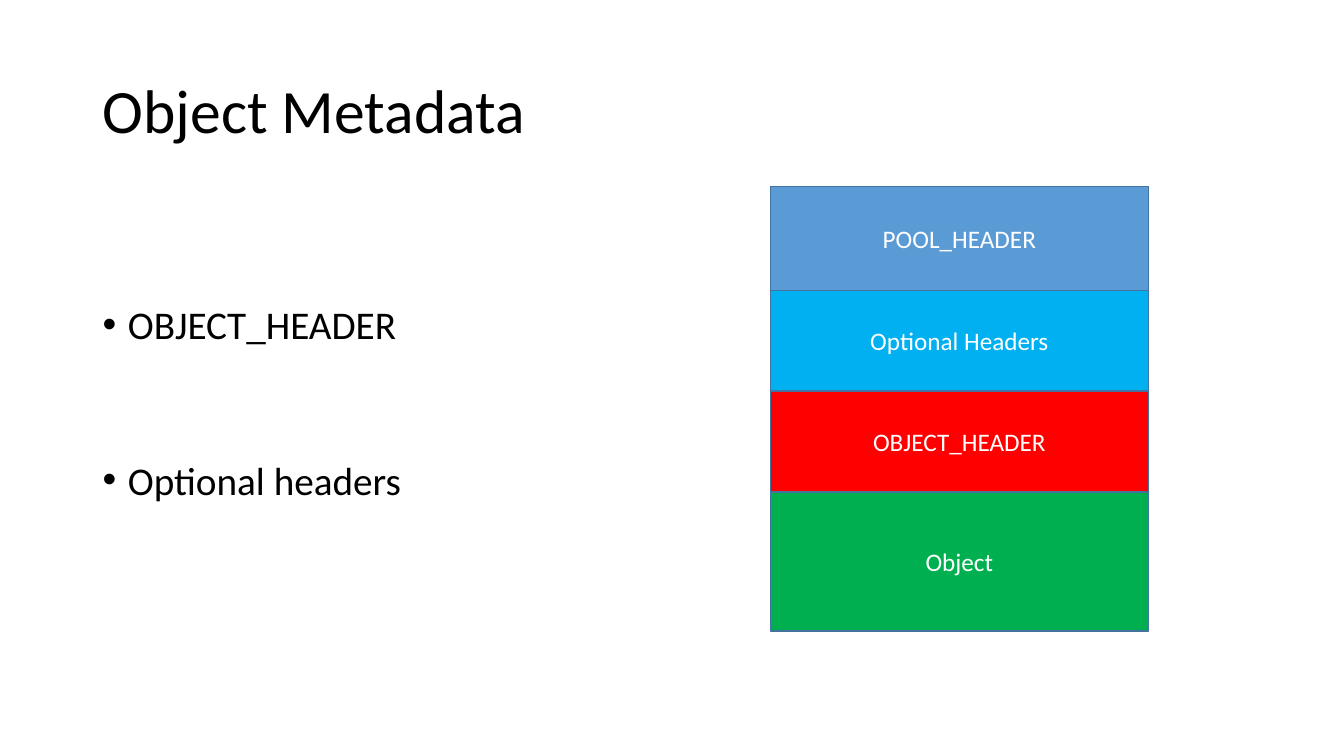
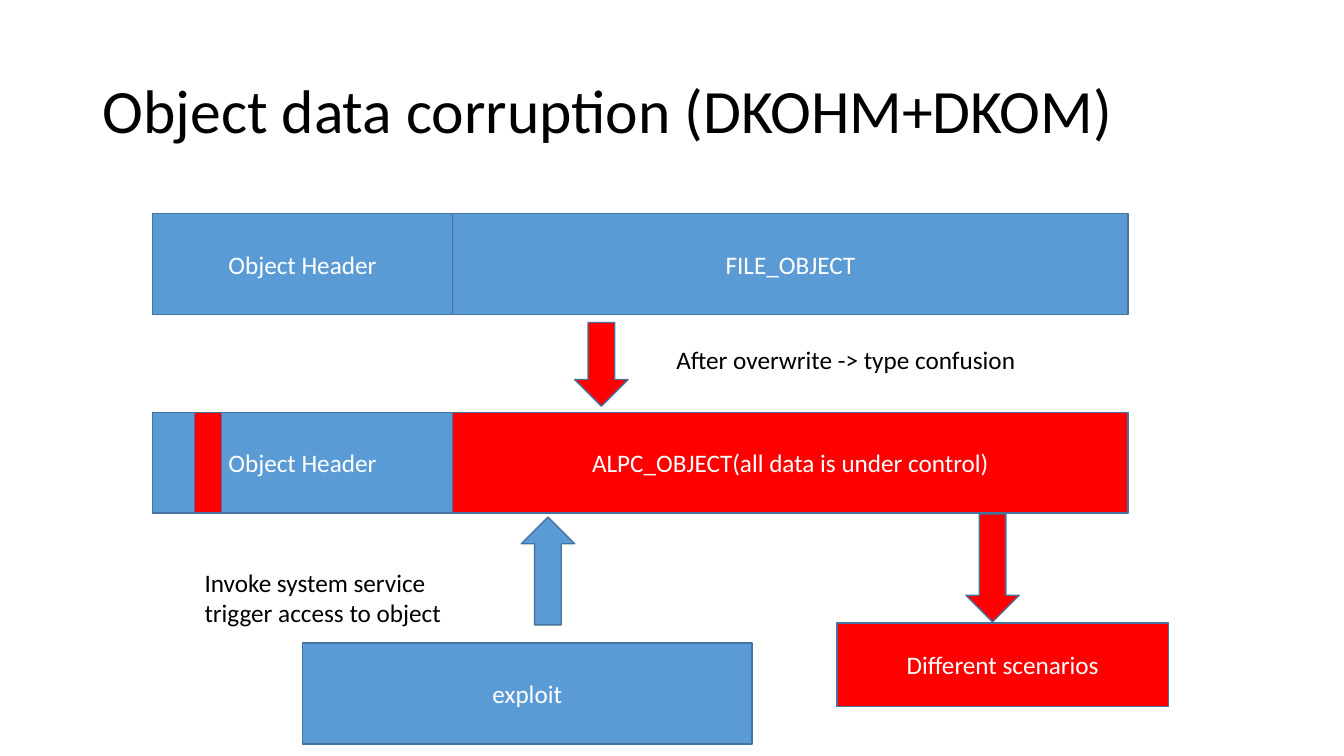
from dataclasses import dataclass
from itertools import accumulate
from lxml.etree import SubElement
from pptx import Presentation
from pptx.dml.color import RGBColor
from pptx.enum.shapes import MSO_SHAPE as Shape
from pptx.enum.text import MSO_ANCHOR as Anchor, PP_ALIGN as Align
from pptx.oxml.ns import qn
from pptx.util import Inches, Pt


@dataclass(frozen=True)
class Theme:
    font: str = "Calibri"
    text: str = "000000"
    inverse: str = "FFFFFF"
    outline: str = "43739E"
    blue: str = "5B9BD5"
    sky: str = "00B0F0"
    red: str = "FF0000"
    green: str = "00B050"
    title_size: int = 44
    body_size: int = 28
    label_size: int = 18


THEME = Theme()
MARGIN, CONTENT_WIDTH = 0.92, 11.5

METADATA_TITLE = "Object Metadata"
METADATA_BULLETS = ["OBJECT_HEADER", "Optional headers"]
STACK_LEFT, STACK_TOP, STACK_WIDTH = 7.64, 1.85, 3.75
STACK = [
    ("POOL_HEADER", 1.03, THEME.blue),
    ("Optional Headers", 1, THEME.sky),
    ("OBJECT_HEADER", 1, THEME.red),
    ("Object", 1.38, THEME.green),
]

CORRUPTION_TITLE = "Object data corruption (DKOHM+DKOM)"
ROW_LEFT, HEADER_WIDTH, OBJECT_WIDTH, ROW_HEIGHT = 1.51, 2.98, 6.7, 1
OBJECT_ROWS = [
    (2.12, "FILE_OBJECT", THEME.blue),
    (4.09, "ALPC_OBJECT(all data is under control)", THEME.red),
]
BOXES = [
    ("", (1.93, 4.09, 0.27, ROW_HEIGHT), THEME.red),
    ("exploit", (3, 6.38, 4.46, ROW_HEIGHT), THEME.blue),
    ("Different scenarios", (8.3, 6.18, 3.29, 0.83), THEME.red),
]
ARROW_WIDTH = 0.53
ARROWS = [
    (Shape.DOWN_ARROW, 5.7, 3.2, 0.83, THEME.red),
    (Shape.UP_ARROW, 5.17, 5.13, 1.07, THEME.blue),
    (Shape.DOWN_ARROW, 9.58, 5.1, 1.07, THEME.red),
]
NOTES = [
    ("After overwrite -> type confusion", (6.61, 3.37, 3.61, 0.4), False),
    ("Invoke system service trigger access to object", (1.93, 5.58, 3.11, 0.71), True),
]


def style_text(frame, size, color):
    for para in frame.paragraphs:
        for span in para.runs:
            span.font.name = THEME.font
            span.font.size = Pt(size)
            span.font.color.rgb = RGBColor.from_string(color)


def add_text(page, text, area, size, wrap=True):
    frame = page.shapes.add_textbox(*map(Inches, area)).text_frame
    frame.word_wrap = wrap
    frame.text = text
    style_text(frame, size, THEME.text)
    return frame


def add_block(page, text, area, fill, kind=Shape.RECTANGLE):
    block = page.shapes.add_shape(kind, *map(Inches, area))
    block.shadow.inherit = False
    block.fill.solid()
    block.fill.fore_color.rgb = RGBColor.from_string(fill)
    block.line.color.rgb = RGBColor.from_string(THEME.outline)
    block.line.width = Pt(1)
    if text:
        frame = block.text_frame
        frame.text = text
        frame.vertical_anchor = Anchor.MIDDLE
        frame.paragraphs[0].alignment = Align.CENTER
        style_text(frame, THEME.label_size, THEME.inverse)


def add_bullets(page, items, area):
    frame = add_text(page, "\n".join(items), area, THEME.body_size)
    for para in frame.paragraphs:
        para.line_spacing = 3.0
        para.space_before = Pt(10)
        props = para._p.get_or_add_pPr()
        props.set("marL", str(Inches(0.25)))
        props.set("indent", str(-Inches(0.25)))
        SubElement(props, qn("a:buFont"), typeface="Arial")
        SubElement(props, qn("a:buChar"), char="•")


def add_page(deck, title):
    page = deck.slides.add_slide(deck.slide_layouts[6])
    frame = add_text(page, title, (MARGIN, 0.4, CONTENT_WIDTH, 1.45), THEME.title_size)
    frame.vertical_anchor = Anchor.MIDDLE
    frame.paragraphs[0].line_spacing = 0.9
    return page


def build_metadata(deck):
    page = add_page(deck, METADATA_TITLE)
    add_bullets(page, METADATA_BULLETS, (MARGIN, 2, CONTENT_WIDTH, 4.76))
    tops = accumulate((height for _, height, _ in STACK), initial=STACK_TOP)
    for top, (label, height, fill) in zip(tops, STACK):
        add_block(page, label, (STACK_LEFT, top, STACK_WIDTH, height), fill)


def build_corruption(deck):
    page = add_page(deck, CORRUPTION_TITLE)
    for top, label, fill in OBJECT_ROWS:
        add_block(page, "Object Header", (ROW_LEFT, top, HEADER_WIDTH, ROW_HEIGHT), THEME.blue)
        add_block(page, label, (ROW_LEFT + HEADER_WIDTH, top, OBJECT_WIDTH, ROW_HEIGHT), fill)
    for label, area, fill in BOXES:
        add_block(page, label, area, fill)
    for kind, left, top, height, fill in ARROWS:
        add_block(page, "", (left, top, ARROW_WIDTH, height), fill, kind)
    for text, area, wrap in NOTES:
        add_text(page, text, area, THEME.label_size, wrap)


def main():
    deck = Presentation()
    deck.slide_width, deck.slide_height = Inches(13.33), Inches(7.5)
    build_metadata(deck)
    build_corruption(deck)
    deck.save("out.pptx")


if __name__ == "__main__":
    main()
